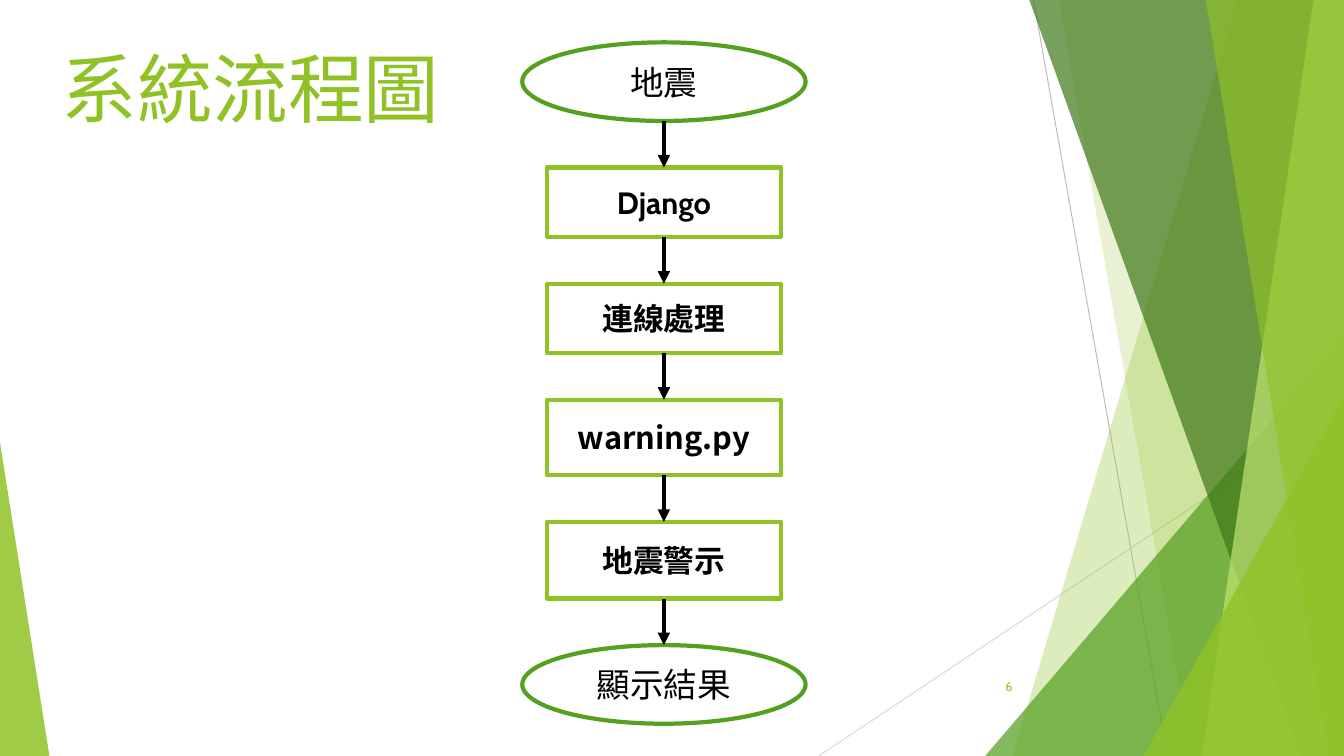
import lxml.etree
import pptx
import pptx.dml.color
import pptx.enum.shapes
import pptx.enum.text
import pptx.oxml.ns
import pptx.util

RGBColor = pptx.dml.color.RGBColor
Inches = pptx.util.Inches
Shapes = pptx.enum.shapes.MSO_SHAPE
Align = pptx.enum.text.PP_ALIGN
Anchor = pptx.enum.text.MSO_ANCHOR
qn = pptx.oxml.ns.qn

LIME = RGBColor(0x90, 0xC2, 0x26)
GREEN = RGBColor(0x54, 0xA0, 0x21)
FOREST = RGBColor(0x3F, 0x78, 0x19)
PALE_LIME = RGBColor(0xC0, 0xE4, 0x74)
GREY = RGBColor(0xBF, 0xBF, 0xBF)
LIGHT_GREY = RGBColor(0xD9, 0xD9, 0xD9)
BLACK = RGBColor(0, 0, 0)
WHITE = RGBColor(0xFF, 0xFF, 0xFF)

LATIN = "Cabin"
CJK = "Noto Sans CJK SC"

PAGE_WIDTH, PAGE_HEIGHT = 13.33, 7.5

# Boxes are left, top, width, height in inches
TITLE_BOX = (0.51, 0.36, 9.03, 0.93)
NUMBER_BOX = (9.39, 6.61, 0.75, 0.4)
FLOW_BOX = (5.18, 0.42, 2.81, 6.76)
RIBBON_BOX = (8.12, 0, 5.21, PAGE_HEIGHT)
CORNER_BOX = (0, 4.39, 0.49, 3.11)

# Sloping edges in percent of the ribbon box: start, end, colour
HAIRLINES = [
    ((40.9, 0), (66.4, 100), GREY),
    ((100, 53.7), (0, 100), LIGHT_GREY),
]
# Start of the sloping edge, its foot on the bottom, colour, opacity in percent
FACETS = [
    ((79.8, 0), 36.9, LIME, 30),
    ((45.7, 0), 71, LIME, 20),
    ((100, 44.4), 31.7, GREEN, 72),
    ((40.1, 0), 91.9, FOREST, 70),
    ((94.2, 0), 72.9, PALE_LIME, 70),
    ((73.7, 0), 97.1, LIME, 65),
    ((100, 52.4), 61.8, LIME, 80),
]

# Text, height in inches, font, whether it is a terminal
STEPS = [
    ("地震", 0.78, CJK, True),
    ("Django", 0.69, LATIN, False),
    ("連線處理", 0.69, LATIN, False),
    ("warning.py", 0.75, CJK, False),
    ("地震警示", 0.76, CJK, False),
    ("顯示結果", 0.78, CJK, True),
]
STEP_WIDTH = 2.32


def point_in(box, percent):
    left, top, width, height = box
    return left + width * percent[0] / 100, top + height * percent[1] / 100


def write(shape, text, size, font, colour, align, bold=False):
    frame = shape.text_frame
    frame.word_wrap = True
    frame.vertical_anchor = Anchor.MIDDLE
    para = frame.paragraphs[0]
    para.alignment = align
    span = para.add_run()
    span.text = text
    span.font.size = pptx.util.Pt(size)
    span.font.bold = bold
    span.font.color.rgb = colour
    span.font.name = font
    east_asian = lxml.etree.SubElement(span.font._element, qn("a:ea"))
    east_asian.set("typeface", CJK)


def add_line(page, start, end, colour, width):
    line = page.shapes.add_connector(
        pptx.enum.shapes.MSO_CONNECTOR.STRAIGHT, *map(Inches, start + end))
    line.line.color.rgb = colour
    line.line.width = pptx.util.Pt(width)
    lxml.etree.SubElement(line._element.spPr, qn("a:effectLst"))
    return line


def add_facet(page, box, corners, colour, opacity):
    # The builder keeps whole units only, so points are given in EMU
    points = [tuple(map(Inches, point_in(box, corner))) for corner in corners]
    builder = page.shapes.build_freeform(*points[0])
    builder.add_line_segments(points[1:], close=True)
    facet = builder.convert_to_shape()
    facet.shadow.inherit = False
    facet.line.fill.background()
    facet.fill.solid()
    facet.fill.fore_color.rgb = colour
    tint = next(facet._element.spPr.iter(qn("a:srgbClr")))
    lxml.etree.SubElement(tint, qn("a:alpha")).set("val", str(opacity * 1000))


def draw_ribbon(page, box):
    for start, end, colour in HAIRLINES:
        add_line(page, point_in(box, start), point_in(box, end), colour, 0.75)
    for start, foot, colour, opacity in FACETS:
        top_right = [(100, 0)] if start[1] == 0 else []
        corners = [start, *top_right, (100, 100), (foot, 100)]
        add_facet(page, box, corners, colour, opacity)


def draw_corner(page, box):
    add_facet(page, box, [(0, 0), (100, 100), (0, 100)], LIME, 85)


def draw_title(page, box):
    title = page.shapes.title
    title.left, title.top, title.width, title.height = map(Inches, box)
    title.text_frame.margin_top = Inches(0.13)
    write(title, "系統流程圖", 54, CJK, LIME, Align.LEFT)


def draw_number(page, box):
    number = page.shapes.add_textbox(*map(Inches, box))
    write(number, "6", 9, LATIN, LIME, Align.RIGHT)


def add_step(page, box, text, font, terminal):
    kind = Shapes.OVAL if terminal else Shapes.RECTANGLE
    step = page.shapes.add_shape(kind, *map(Inches, box))
    step.shadow.inherit = False
    step.fill.solid()
    step.fill.fore_color.rgb = WHITE
    step.line.color.rgb = GREEN if terminal else LIME
    step.line.width = pptx.util.Pt(3)
    write(step, text, 24 if terminal else 22, font, BLACK, Align.CENTER,
          bold=not terminal)
    return step


def draw_flow(page, box):
    left, top, width, height = box
    middle = left + width / 2
    gap = (height - sum(step[1] for step in STEPS)) / (len(STEPS) - 1)
    previous = None
    for text, step_height, font, terminal in STEPS:
        step_width = width if terminal else STEP_WIDTH
        step_box = (middle - step_width / 2, top, step_width, step_height)
        step = add_step(page, step_box, text, font, terminal)
        if previous is not None:
            arrow = add_line(page, (middle, top - gap), (middle, top), BLACK, 3)
            if previous.auto_shape_type == Shapes.RECTANGLE:
                arrow.begin_connect(previous, 2)
            arrow.end_connect(step, 0)
            outline = arrow.line._get_or_add_ln()
            lxml.etree.SubElement(outline, qn("a:tailEnd")).set("type", "triangle")
        previous = step
        top += step_height + gap


def main():
    deck = pptx.Presentation()
    deck.slide_width = Inches(PAGE_WIDTH)
    deck.slide_height = Inches(PAGE_HEIGHT)
    page = deck.slides.add_slide(deck.slide_layouts[5])
    draw_ribbon(page, RIBBON_BOX)
    draw_corner(page, CORNER_BOX)
    draw_title(page, TITLE_BOX)
    draw_flow(page, FLOW_BOX)
    draw_number(page, NUMBER_BOX)
    deck.save("out.pptx")


if __name__ == "__main__":
    main()
